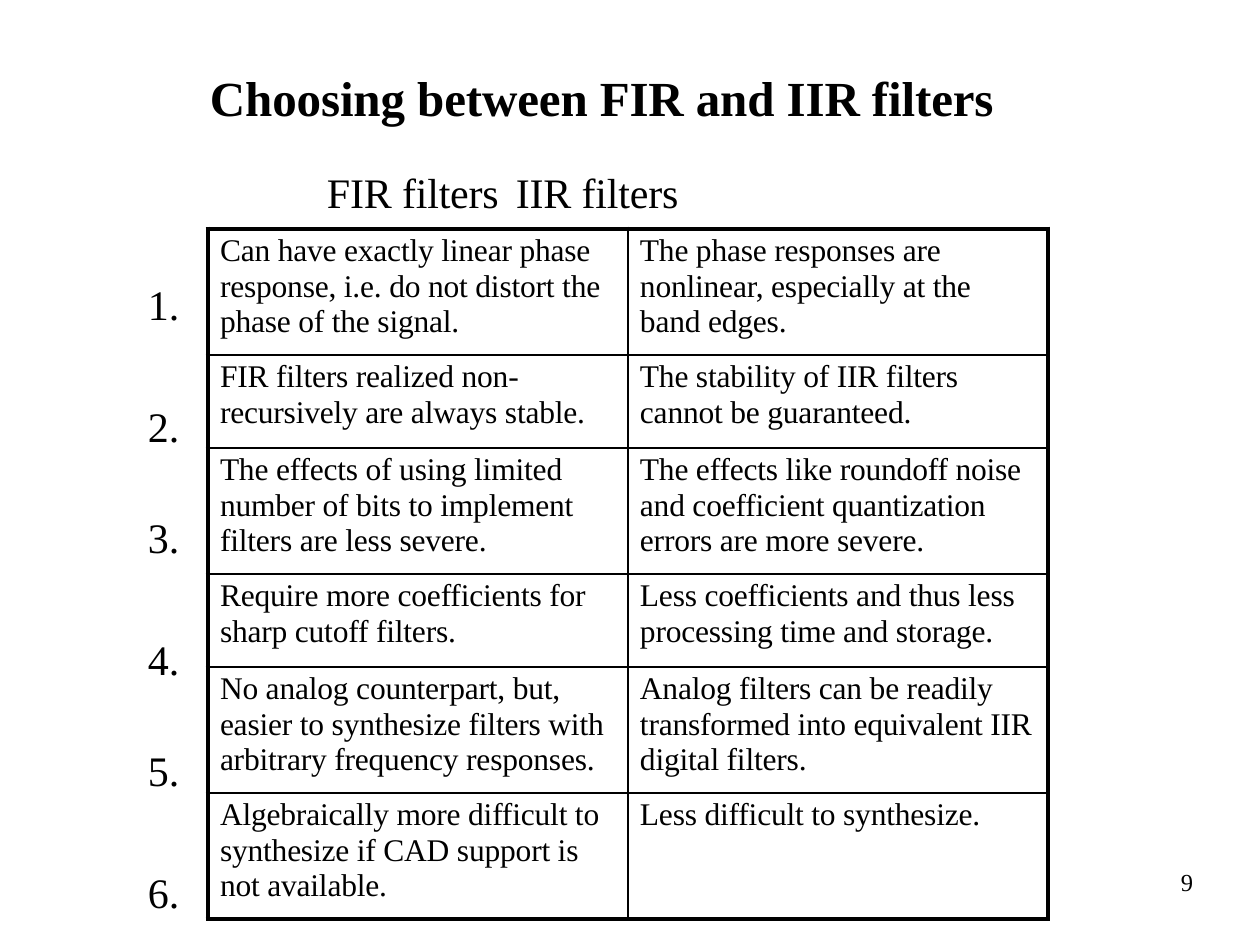
from pptx import Presentation
from pptx.dml.color import RGBColor as Rgb
from pptx.oxml.ns import qn
from pptx.util import Pt
from lxml.etree import SubElement as Sub

PX = 7257.14
INK = "000000"
ROWS = [
    ("Can have exactly linear phase response, i.e. do not distort the phase of the signal.",
     "The phase responses are nonlinear, especially at the band edges."),
    ("FIR filters realized non-recursively are always stable.",
     "The stability of IIR filters cannot be guaranteed."),
    ("The effects of using limited number of bits to implement filters are less severe.",
     "The effects like roundoff noise and coefficient quantization errors are more severe."),
    ("Require more coefficients for sharp cutoff filters.",
     "Less coefficients and thus less processing time and storage."),
    ("No analog counterpart, but, easier to synthesize filters with arbitrary frequency responses.",
     "Analog filters can be readily transformed into equivalent IIR digital filters."),
    ("Algebraically more difficult to synthesize if CAD support is not available.",
     "Less difficult to synthesize."),
]
HIGH = [126, 93, 126, 93, 126, 126]


def px(num):
    """Turn px into EMU."""
    return round(num * PX)


def hue(code):
    """Turn a hex string into a colour."""
    return Rgb.from_string(code)


def write(para, text, size=18, bold=False, left=0, tab=None, line=None, gap=0, track=-10):
    """Write one formatted paragraph."""
    props = para._p.get_or_add_pPr()
    props.set("marL", str(px(left)))
    props.set("indent", "0")
    if tab:
        Sub(Sub(props, qn("a:tabLst")), qn("a:tab"), pos=str(px(tab)), algn="l")
    if line:
        para.line_spacing = line
    if gap:
        para.space_before = Pt(gap)
    run = para.add_run()
    run.text = text
    font = run.font
    font.name, font.size, font.bold = "Times New Roman", Pt(size), bold
    font.color.rgb = hue(INK)
    run._r.get_or_add_rPr().set("spc", str(track))


def frame(slide, box, top=0):
    """Add a text box and return its text frame."""
    body = slide.shapes.add_textbox(*map(px, box)).text_frame
    body.word_wrap = True
    body.margin_left = body.margin_right = body.margin_bottom = 0
    body.margin_top = px(top)
    return body


def title(slide, box):
    """Write the slide title."""
    write(frame(slide, box, 6).paragraphs[0], "Choosing between FIR and IIR filters",
          size=28, bold=True, left=1, track=-5)


def labels(slide, box):
    """Write the column heads and the row numbers."""
    body = frame(slide, box, 7)
    write(body.paragraphs[0], "FIR filters\tIIR filters", size=24, left=180, tab=600)
    for num in range(1, len(ROWS) + 1):
        gap = 34.8 if num % 2 else 40.9
        write(body.add_paragraph(), f"{num}.", size=24, left=1, gap=gap, track=0)


def edge(cell, side, wide):
    """Draw one border of a cell."""
    line = Sub(cell._tc.get_or_add_tcPr(), qn(f"a:{side}"), w=str(Pt(wide)))
    Sub(Sub(line, qn("a:solidFill")), qn("a:srgbClr"), val=INK)


def grid(slide, box):
    """Build the table with a thick outer frame."""
    table = slide.shapes.add_table(len(ROWS), 2, *map(px, box)).table
    table.first_row = table.horz_banding = False
    for col in table.columns:
        col.width = px(box[2] // 2)
    last = len(ROWS) - 1
    for r, texts in enumerate(ROWS):
        table.rows[r].height = px(HIGH[r])
        for c, text in enumerate(texts):
            cell = table.cell(r, c)
            cell.margin_left = cell.margin_bottom = 0
            cell.margin_right, cell.margin_top = px(10), px(4)
            sides = {"lnL": c == 0, "lnR": c == 1, "lnT": r == 0, "lnB": r == last}
            for side, outer in sides.items():
                edge(cell, side, 3 if outer else 1.5)
            cell.fill.background()
            write(cell.text_frame.paragraphs[0], text, left=12, line=1.02)


def folio(slide, box):
    """Write the page number."""
    write(frame(slide, box).paragraphs[0], "9", size=14, left=5, line=Pt(16.3), track=0)


def main():
    """Build and save the slide."""
    deck = Presentation()
    deck.slide_width, deck.slide_height = px(1260), px(945)
    slide = deck.slides.add_slide(deck.slide_layouts[6])
    title(slide, (209, 62, 793, 62))
    grid(slide, (208, 229, 840, sum(HIGH)))
    labels(slide, (147, 160, 766, 716))
    folio(slide, (1176, 868, 35, 30))
    deck.save("out.pptx")


if __name__ == "__main__":
    main()
